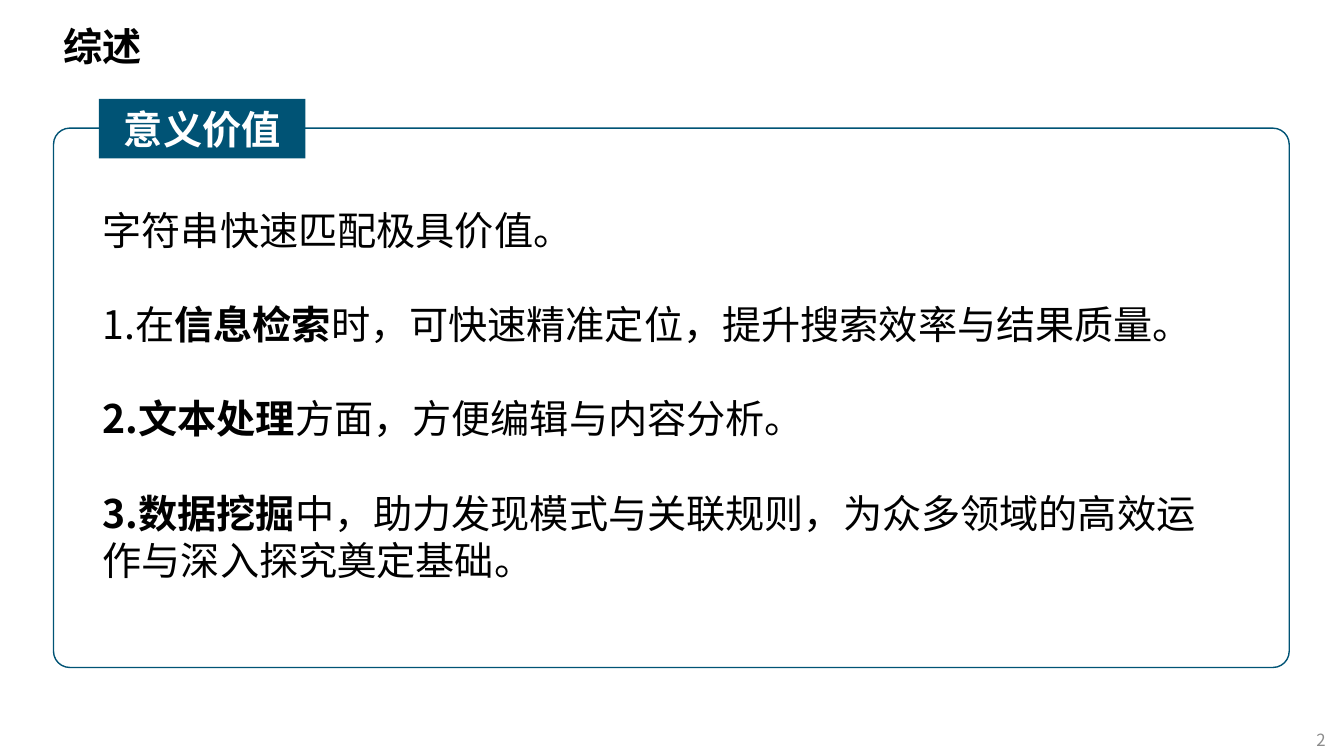
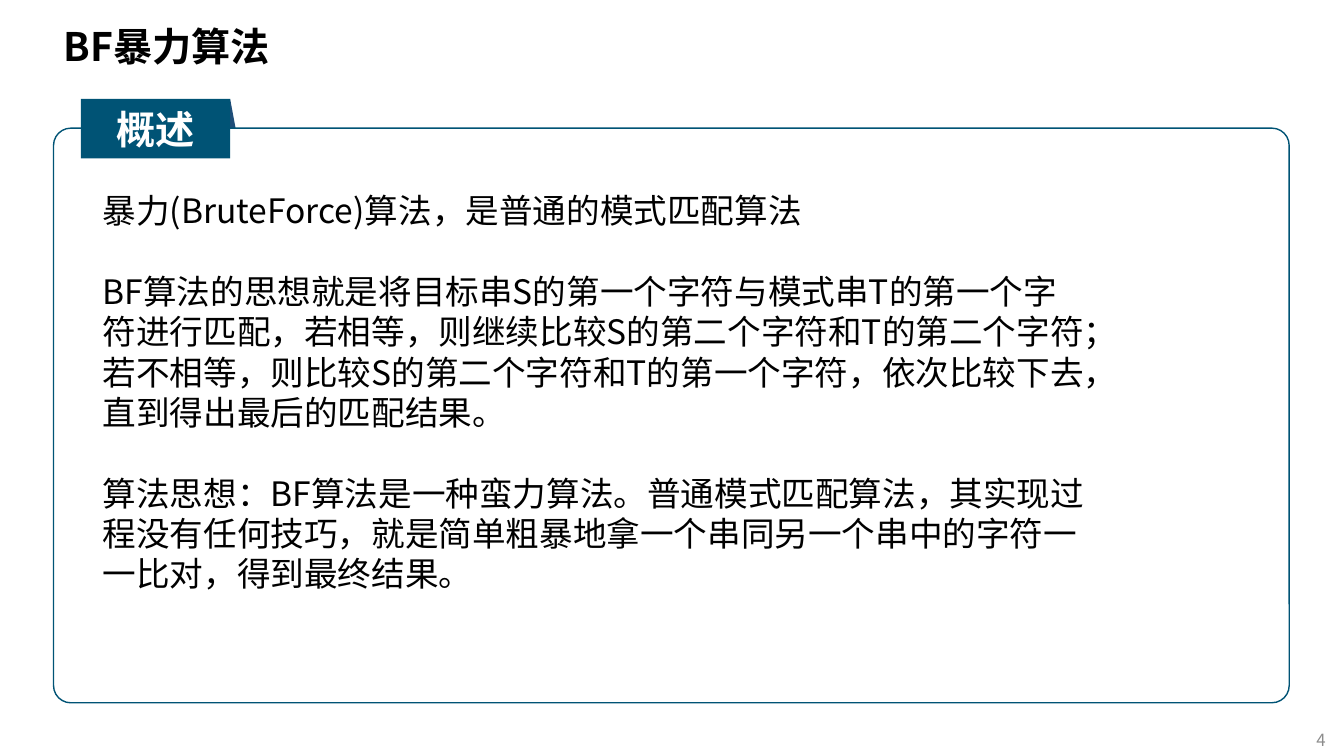
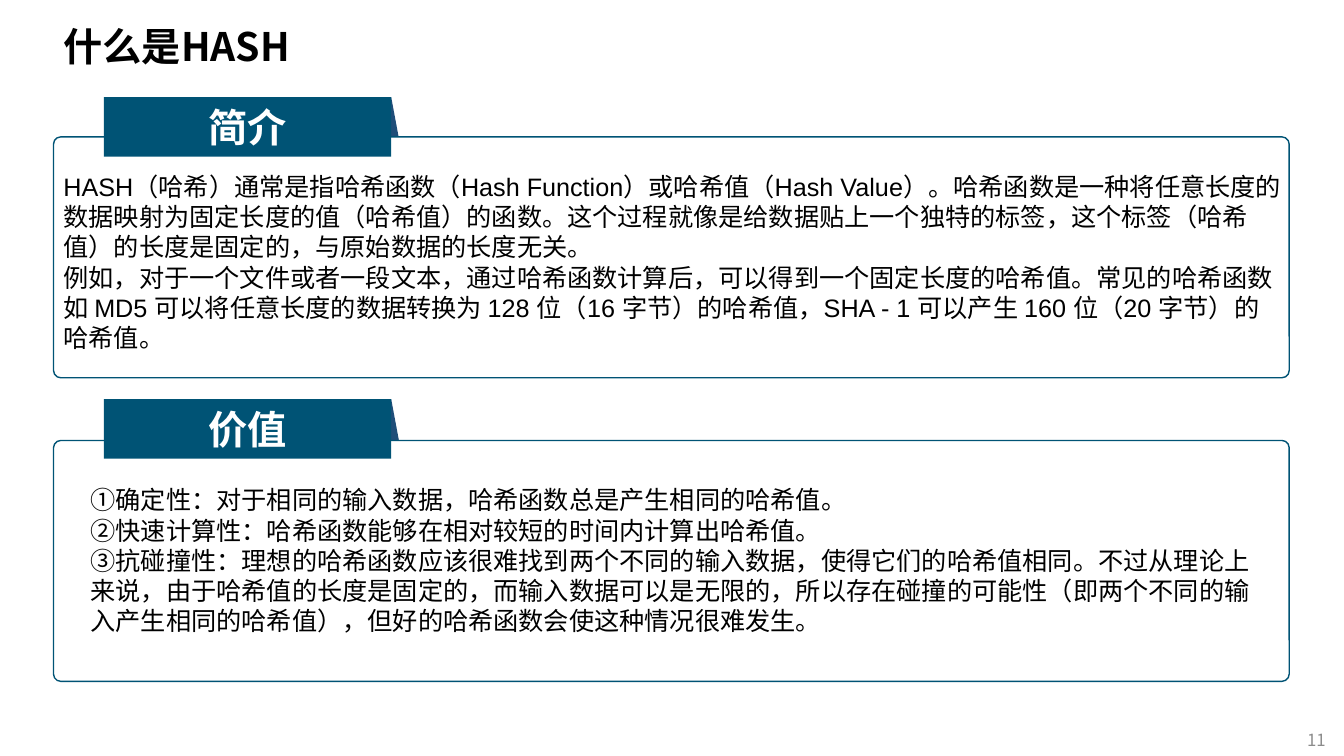
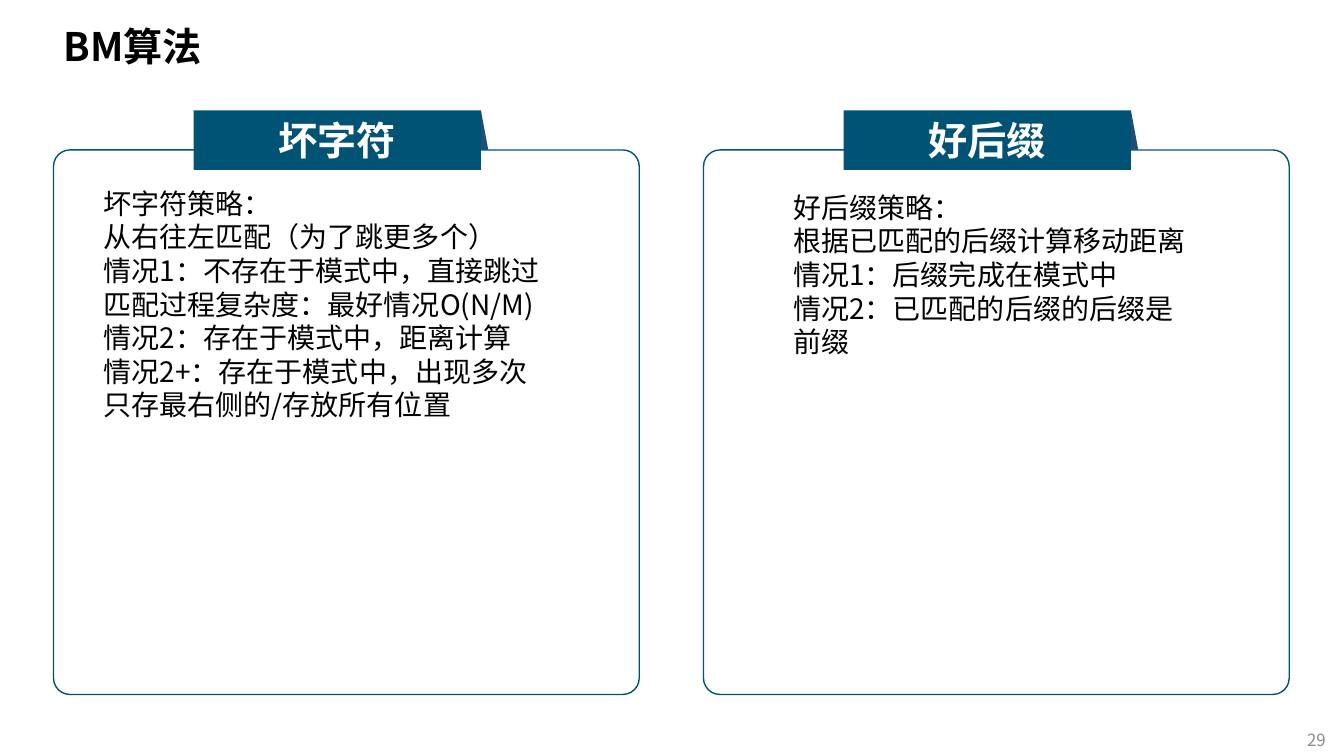
import lxml.etree
import pptx
import pptx.dml.color
import pptx.enum.shapes
import pptx.enum.text
import pptx.oxml.ns
import pptx.util

Cm, Pt = pptx.util.Cm, pptx.util.Pt
SHAPES = pptx.enum.shapes.MSO_SHAPE
ALIGN = pptx.enum.text.PP_ALIGN
MIDDLE = pptx.enum.text.MSO_ANCHOR.MIDDLE

COLORS = {"teal": "005375", "fold": "1F4E79", "ink": "000000",
          "white": "FFFFFF", "number": "8C8C8C"}
CJK_FONT = "Noto Sans CJK SC"
LEFT, FULL_WIDTH, HALF_WIDTH = 1.35, 31.14, 14.76
TAB_HEIGHT, FOLD_WIDTH = 1.5, 0.28
WIDE_TAB = 7.24

# Lengths are in cm. panel: left, top, width, height;
# tab: offset from panel left, rise above panel, width; body: left, top, width, height.
# Text between ** marks is bold.
SLIDES = [
    {"title": "综述", "number": 2, "sections": [
        {"heading": "意义价值", "panel": (LEFT, 3.23, FULL_WIDTH, 13.59),
         "tab": (1.14, 0.74, 5.21), "fold": False,
         "body": (2.34, 5.08, 28.47, 11.02), "size": 28, "gap": 33.6, "font": CJK_FONT,
         "text": [
             "字符串快速匹配极具价值。",
             "1.在**信息检索**时，可快速精准定位，提升搜索效率与结果质量。",
             "**2.文本处理**方面，方便编辑与内容分析。",
             "**3.数据挖掘**中，助力发现模式与关联规则，为众多领域的高效运作与深入探究奠定基础。",
         ]},
    ]},
    {"title": "BF暴力算法", "number": 4, "sections": [
        {"heading": "概述", "panel": (LEFT, 3.23, FULL_WIDTH, 14.48),
         "tab": (0.69, 0.74, 3.76), "fold": True,
         "body": (2.34, 4.67, 25.37, 10.52), "size": 24, "gap": 28.8, "font": CJK_FONT,
         "text": [
             "暴力(BruteForce)算法，是普通的模式匹配算法",
             "BF算法的思想就是将目标串S的第一个字符与模式串T的第一个字符进行匹配，"
             "若相等，则继续比较S的第二个字符和T的第二个字符；若不相等，"
             "则比较S的第二个字符和T的第一个字符，依次比较下去，直到得出最后的匹配结果。",
             "算法思想：BF算法是一种蛮力算法。普通模式匹配算法，其实现过程没有任何技巧，"
             "就是简单粗暴地拿一个串同另一个串中的字符一一比对，得到最终结果。",
         ]},
    ]},
    {"title": "什么是HASH", "number": 11, "sections": [
        {"heading": "简介", "panel": (LEFT, 3.45, FULL_WIDTH, 6.07),
         "tab": (1.27, 1, WIDE_TAB), "fold": True,
         "body": (LEFT, 4.19, 31.27, 4.88), "size": 18, "gap": 0, "font": "Arial",
         "text": [
             "HASH（哈希）通常是指哈希函数（Hash Function）或哈希值（Hash Value）。"
             "哈希函数是一种将任意长度的数据映射为固定长度的值（哈希值）的函数。"
             "这个过程就像是给数据贴上一个独特的标签，"
             "这个标签（哈希值）的长度是固定的，与原始数据的长度无关。",
             "例如，对于一个文件或者一段文本，通过哈希函数计算后，可以得到一个固定长度的哈希值。"
             "常见的哈希函数如 MD5 可以将任意长度的数据转换为 128 位（16 字节）的哈希值，"
             "SHA - 1 可以产生 160 位（20 字节）的哈希值。",
         ]},
        {"heading": "价值", "panel": (LEFT, 11.1, FULL_WIDTH, 6.07),
         "tab": (1.27, 1.04, WIDE_TAB), "fold": True,
         "body": (2.03, 12.09, 30.18, 4.09), "size": 18, "gap": 0, "font": "Arial",
         "text": [
             "①确定性：对于相同的输入数据，哈希函数总是产生相同的哈希值。",
             "②快速计算性：哈希函数能够在相对较短的时间内计算出哈希值。",
             "③抗碰撞性：理想的哈希函数应该很难找到两个不同的输入数据，使得它们的哈希值相同。"
             "不过从理论上来说，由于哈希值的长度是固定的，而输入数据可以是无限的，"
             "所以存在碰撞的可能性（即两个不同的输入产生相同的哈希值），"
             "但好的哈希函数会使这种情况很难发生。",
         ]},
    ]},
    {"title": "BM算法", "number": 29, "sections": [
        {"heading": "坏字符", "panel": (LEFT, 3.78, HALF_WIDTH, 13.72),
         "tab": (3.53, 1, WIDE_TAB), "fold": True,
         "body": (2.36, 4.57, 12.7, 6.83), "size": 20, "gap": 0, "font": CJK_FONT,
         "text": [
             "坏字符策略：",
             "从右往左匹配（为了跳更多个）",
             "情况1：不存在于模式中，直接跳过",
             "匹配过程复杂度：最好情况O(N/M)",
             "情况2：存在于模式中，距离计算",
             "情况2+：存在于模式中，出现多次",
             "只存最右侧的/存放所有位置",
         ]},
        {"heading": "好后缀", "panel": (LEFT + FULL_WIDTH - HALF_WIDTH, 3.78, HALF_WIDTH, 13.72),
         "tab": (3.53, 1, WIDE_TAB), "fold": True,
         "body": (19.74, 4.67, 10.74, 5.31), "size": 20, "gap": 0, "font": CJK_FONT,
         "text": [
             "好后缀策略：",
             "根据已匹配的后缀计算移动距离",
             "情况1：后缀完成在模式中",
             "情况2：已匹配的后缀的后缀是前缀",
         ]},
    ]},
]


def write(frame, paragraphs, size, color="ink", bold=False, align=ALIGN.LEFT,
          font=CJK_FONT, gap=0):
    """Fill a text frame; gap is the space in points between paragraphs."""
    frame.word_wrap = True
    for index, text in enumerate(paragraphs):
        paragraph = frame.add_paragraph() if index else frame.paragraphs[0]
        paragraph.alignment = align
        paragraph.space_before = Pt(gap if index else 0)
        paragraph.font.size = Pt(size)
        paragraph.font.bold = bold
        paragraph.font.color.rgb = pptx.dml.color.RGBColor.from_string(COLORS[color])
        paragraph.font.name = font
        lxml.etree.SubElement(paragraph.font._element, pptx.oxml.ns.qn("a:ea"),
                              typeface=CJK_FONT)
        for part, words in enumerate(text.split("**")):
            if words:
                run = paragraph.add_run()
                run.text = words
                if part % 2:
                    run.font.bold = True


def add_filled(slide, kind, box, fill, line=None):
    shape = slide.shapes.add_shape(kind, *map(Cm, box))
    shape.shadow.inherit = False
    shape.fill.solid()
    shape.fill.fore_color.rgb = pptx.dml.color.RGBColor.from_string(COLORS[fill])
    if line:
        shape.line.color.rgb = pptx.dml.color.RGBColor.from_string(COLORS[line])
        shape.line.width = Pt(1)
    else:
        shape.line.fill.background()
    return shape


deck = pptx.Presentation()
deck.slide_width, deck.slide_height = Cm(33.87), Cm(19.05)

for content in SLIDES:
    slide = deck.slides.add_slide(deck.slide_layouts[5])

    title = slide.shapes.title
    title.left, title.top, title.width, title.height = map(Cm, (LEFT, 0.38, FULL_WIDTH, 1.7))
    title.text_frame.vertical_anchor = MIDDLE
    write(title.text_frame, [content["title"]], 28, bold=True)
    title.text_frame.paragraphs[0].line_spacing = 0.9

    for section in content["sections"]:
        left, top, _, _ = section["panel"]
        offset, rise, tab_width = section["tab"]
        tab_left, tab_top = left + offset, top - rise
        if section["fold"]:
            add_filled(slide, SHAPES.RIGHT_TRIANGLE,
                       (tab_left + tab_width, tab_top, FOLD_WIDTH, TAB_HEIGHT), "fold")
        panel = add_filled(slide, SHAPES.ROUNDED_RECTANGLE, section["panel"], "white", "teal")
        panel.adjustments[0] = 0.03
        tab = add_filled(slide, SHAPES.RECTANGLE,
                         (tab_left, tab_top, tab_width, TAB_HEIGHT), "teal")
        tab.text_frame.vertical_anchor = MIDDLE
        write(tab.text_frame, [section["heading"]], 28, "white", True, ALIGN.CENTER)

        body = slide.shapes.add_textbox(*map(Cm, section["body"]))
        write(body.text_frame, section["text"], section["size"],
              font=section["font"], gap=section["gap"])

    number = slide.shapes.add_textbox(Cm(26.04), Cm(18.26), Cm(7.62), Cm(0.79))
    number.text_frame.vertical_anchor = MIDDLE
    write(number.text_frame, [str(content["number"])], 12, "number", align=ALIGN.RIGHT)

deck.save("out.pptx")
